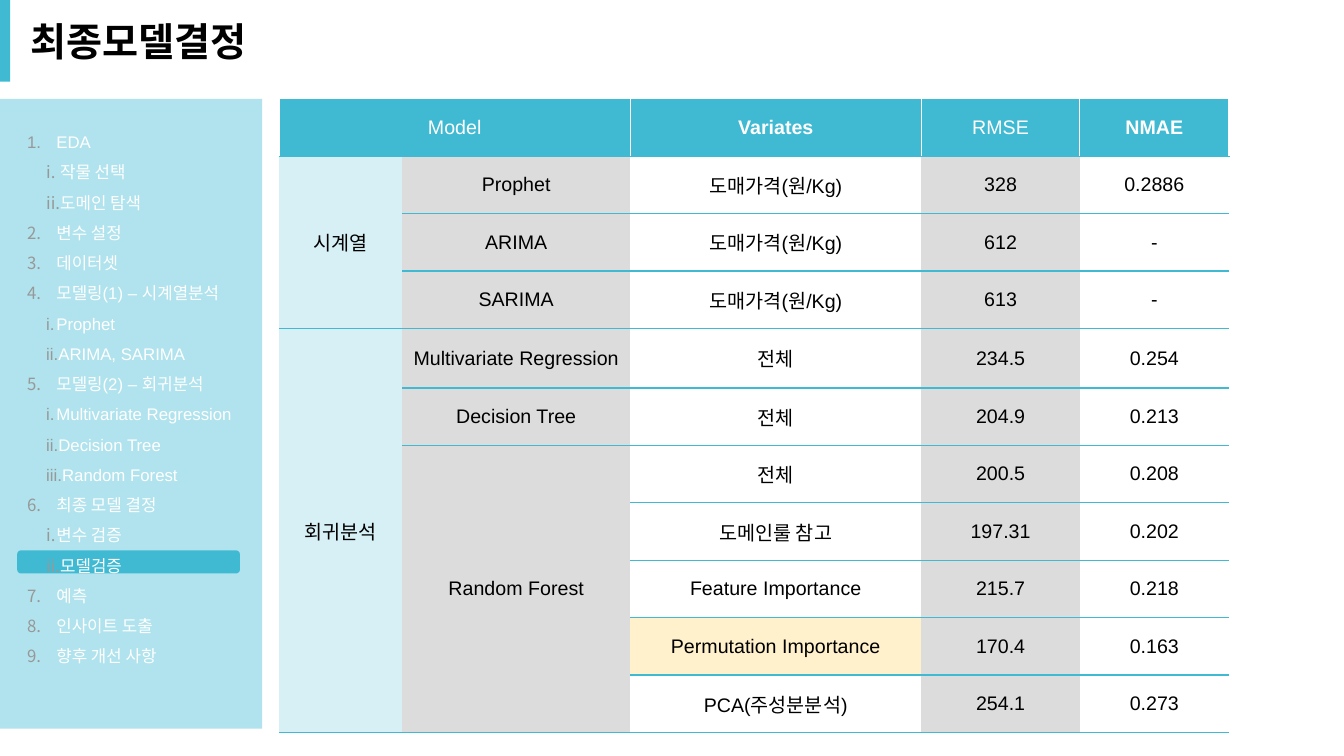
from pptx import Presentation, util as u
from pptx.dml.color import RGBColor
from pptx.enum import shapes, text
from pptx.oxml import ns, xmlchemy

PX = 9144  # EMU per px, 100 px to the inch
FONT = "Arial"
TEAL = RGBColor(0x40, 0xBA, 0xD2)
LIGHT_TEAL = RGBColor(0xB0, 0xE3, 0xED)
PALE_TEAL = RGBColor(0xD7, 0xF0, 0xF6)
GRAY = RGBColor(0xDC, 0xDC, 0xDC)
BULLET_GRAY = RGBColor(0x98, 0x98, 0x98)
CREAM = RGBColor(0xFF, 0xF1, 0xCB)
WHITE = RGBColor(0xFF, 0xFF, 0xFF)
BLACK = RGBColor(0, 0, 0)
NO_STYLE = "{2D5ABB26-0587-4C30-8999-92F81FD0307C}"

# Outline entries: level, text
OUTLINE = [
    (0, "EDA"), (2, " 작물 선택"), (2, "도메인 탐색"),
    (0, "변수 설정"), (0, "데이터셋"),
    (0, "모델링(1) – 시계열분석"), (1, "Prophet"), (1, "ARIMA, SARIMA"),
    (0, "모델링(2) – 회귀분석"), (1, "Multivariate Regression"),
    (1, "Decision Tree"), (1, "Random Forest"),
    (0, "최종 모델 결정"), (1, "변수 검증"), (1, "모델검증"),
    (0, "예측"), (0, "인사이트 도출"), (0, "향후 개선 사항"),
]

# Model results; an empty string belongs to a merged cell
RESULTS = [
    ("Model", "", "Variates", "RMSE", "NMAE"),
    ("시계열", "Prophet", "도매가격(원/Kg)", "328", "0.2886"),
    ("", "ARIMA", "도매가격(원/Kg)", "612", "-"),
    ("", "SARIMA", "도매가격(원/Kg)", "613", "-"),
    ("회귀분석", "Multivariate Regression", "전체", "234.5", "0.254"),
    ("", "Decision Tree", "전체", "204.9", "0.213"),
    ("", "Random Forest", "전체", "200.5", "0.208"),
    ("", "", "도메인룰 참고", "197.31", "0.202"),
    ("", "", "Feature Importance", "215.7", "0.218"),
    ("", "", "Permutation Importance", "170.4", "0.163"),
    ("", "", "PCA(주성분분석)", "254.1", "0.273"),
]
MERGES = [((0, 0), (0, 1)), ((1, 0), (3, 0)), ((4, 0), (10, 0)), ((6, 1), (10, 1))]
COLUMN_WIDTHS = [122, 226, 289, 157, 148]
COLUMN_FILLS = [PALE_TEAL, GRAY, WHITE, GRAY, WHITE]
BOLD_HEADERS = ("Variates", "NMAE")
BEST_VARIATES = "Permutation Importance"


def emu(*lengths):
    return [u.Emu(length * PX) for length in lengths]


def add_block(slide, kind, box, color):
    shape = slide.shapes.add_shape(kind, *emu(*box))
    shape.shadow.inherit = False
    shape.fill.solid()
    shape.fill.fore_color.rgb = color
    shape.line.fill.background()
    return shape


def add_text_frame(slide, box):
    frame = slide.shapes.add_textbox(*emu(*box)).text_frame
    frame.word_wrap = True
    frame.auto_size = text.MSO_AUTO_SIZE.SHAPE_TO_FIT_TEXT
    return frame


def write(paragraph, content, size, color, bold=False):
    run = paragraph.add_run()
    run.text = content
    run.font.color.rgb = color
    for name, value in {"name": FONT, "size": u.Pt(size), "bold": bold}.items():
        setattr(run.font, name, value)


def add_child(parent, tag, **attributes):
    child = xmlchemy.OxmlElement(tag)
    for name, value in attributes.items():
        child.set(name, str(value))
    parent.append(child)
    return child


def number_paragraph(paragraph, level):
    margin, hanging, scheme = (29, 10, "romanLcPeriod") if level else (29, 29, "arabicPeriod")
    properties = paragraph._p.get_or_add_pPr()
    properties.set("marL", str(margin * PX))
    properties.set("indent", str(-hanging * PX))
    bullet_color = add_child(properties, "a:buClr")
    add_child(bullet_color, "a:srgbClr", val=BULLET_GRAY)
    add_child(properties, "a:buFont", typeface="+mj-lt")
    add_child(properties, "a:buAutoNum", type=scheme)


def set_borders(cell, **colors):
    properties = cell._tc.get_or_add_tcPr()
    for side in "LRTB":
        if side in colors:
            line = add_child(properties, "a:ln" + side, w=u.Pt(1))
            fill = add_child(line, "a:solidFill")
            add_child(fill, "a:srgbClr", val=colors[side])


# Title with its accent bar
def add_title(slide, left, top, height):
    add_block(slide, shapes.MSO_SHAPE.RECTANGLE, (left, top, 10, height), TEAL)
    frame = add_text_frame(slide, (left + 20, top + 12, 750, 57))
    write(frame.paragraphs[0], "최종모델결정", 28, BLACK, True)


# Sidebar outline with the current section marked
def add_sidebar(slide, left, top, width, height):
    add_block(slide, shapes.MSO_SHAPE.RECTANGLE, (left, top, width, height), LIGHT_TEAL)
    marker = add_block(slide, shapes.MSO_SHAPE.ROUNDED_RECTANGLE,
                       (left + 17, top + 448, width - 39, 23), TEAL)
    marker.adjustments[0] = 0.17
    frame = add_text_frame(slide, (left + 17, top + 18, width - 28, height - 72))
    for index, (level, entry) in enumerate(OUTLINE):
        paragraph = frame.add_paragraph() if index else frame.paragraphs[0]
        paragraph.level = level
        paragraph.line_spacing = 1.5
        number_paragraph(paragraph, level)
        write(paragraph, entry, 12, WHITE)


def fill_cell(cell, row, column, content):
    header = row == 0
    if header:
        set_borders(cell, L=WHITE, R=WHITE, T=WHITE, B=TEAL)
    else:
        set_borders(cell, T=TEAL, B=TEAL)
    cell.fill.solid()
    if header:
        cell.fill.fore_color.rgb = TEAL
    else:
        cell.fill.fore_color.rgb = CREAM if content == BEST_VARIATES else COLUMN_FILLS[column]
    cell.vertical_anchor = text.MSO_ANCHOR.MIDDLE
    paragraph = cell.text_frame.paragraphs[0]
    paragraph.alignment = text.PP_ALIGN.CENTER
    write(paragraph, content, 14, WHITE if header else BLACK, content in BOLD_HEADERS)


# Table comparing the models
def add_results(slide, left, top, width, height):
    frame = slide.shapes.add_table(len(RESULTS), len(COLUMN_WIDTHS),
                                   *emu(left, top, width, height))
    table = frame.table
    table.first_row = table.horz_banding = False
    table._tbl.tblPr.find(ns.qn("a:tableStyleId")).text = NO_STYLE
    for column, column_width in zip(table.columns, COLUMN_WIDTHS):
        column.width = u.Emu(column_width * PX)
    for index, row in enumerate(table.rows):
        row.height = u.Emu((59 if index == 4 else 57) * PX)
    for first, last in MERGES:
        table.cell(*first).merge(table.cell(*last))
    for row, values in enumerate(RESULTS):
        for column, content in enumerate(values):
            if content:
                fill_cell(table.cell(row, column), row, column, content)


def main():
    presentation = Presentation()
    presentation.slide_width, presentation.slide_height = emu(1333, 750)
    slide = presentation.slides.add_slide(presentation.slide_layouts[6])
    add_title(slide, 0, 0, 81)
    add_sidebar(slide, 0, 98, 260, 625)
    add_results(slide, 277, 98, sum(COLUMN_WIDTHS), 625)
    presentation.save("out.pptx")


if __name__ == "__main__":
    main()
